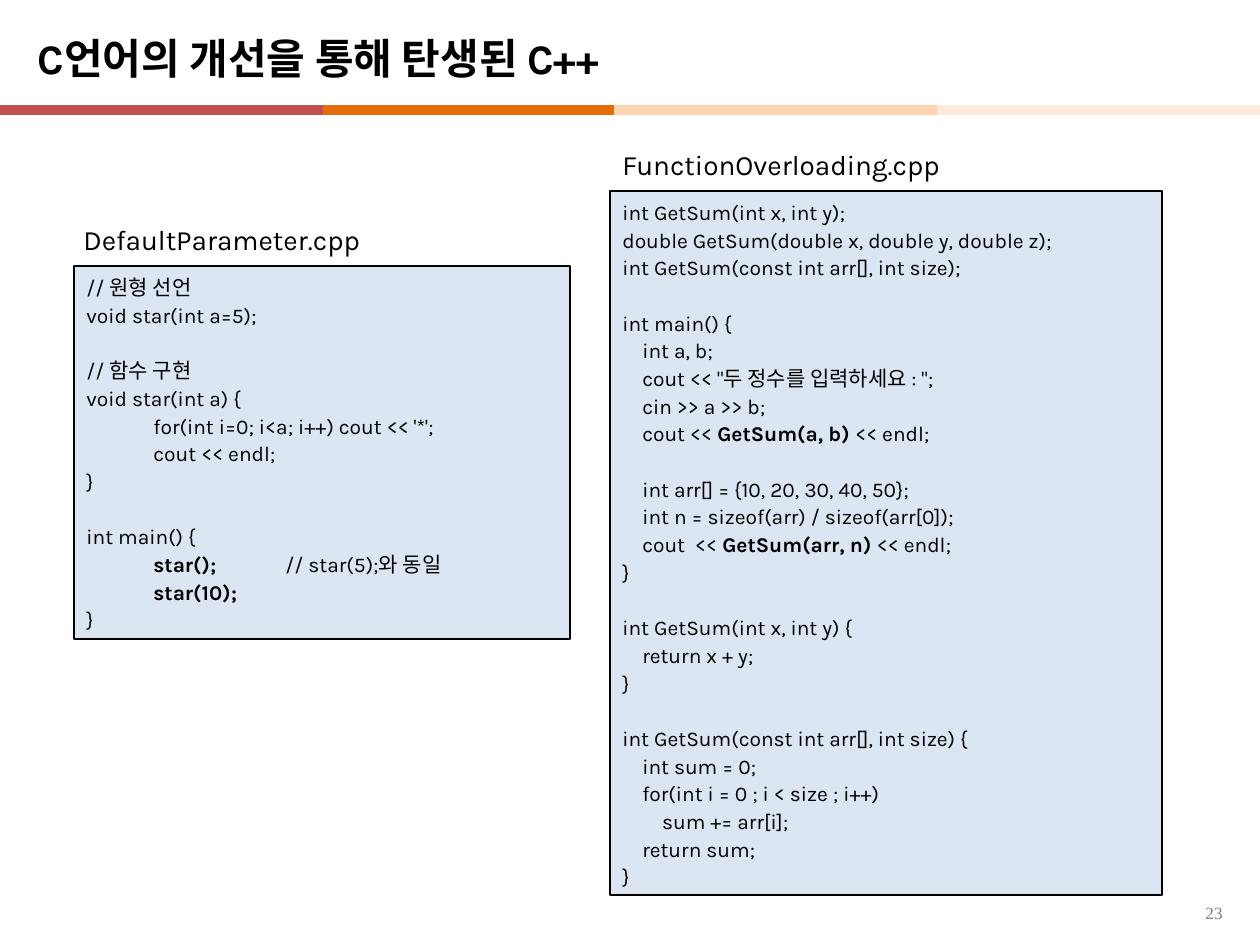
from dataclasses import dataclass

from lxml import etree
from pptx import Presentation
from pptx.dml.color import RGBColor
from pptx.enum.shapes import MSO_CONNECTOR, MSO_SHAPE
from pptx.enum.text import MSO_ANCHOR, MSO_AUTO_SIZE, PP_ALIGN
from pptx.oxml.ns import qn
from pptx.util import Emu, Pt

STRAIGHT = MSO_CONNECTOR.STRAIGHT
RECTANGLE = MSO_SHAPE.RECTANGLE
TOP, MIDDLE = MSO_ANCHOR.TOP, MSO_ANCHOR.MIDDLE
NO_FIT, GROW = MSO_AUTO_SIZE.NONE, MSO_AUTO_SIZE.SHAPE_TO_FIT_TEXT
LEFT, RIGHT = PP_ALIGN.LEFT, PP_ALIGN.RIGHT

PX_PER_INCH = 126
EMU_PER_PX = 914400 / PX_PER_INCH


@dataclass(frozen=True)
class Theme:
    font: str = "Karla"
    number_font: str = "Times New Roman"
    ink: str = "000000"
    muted: str = "7F7F7F"
    panel: str = "DCE6F2"
    divider: tuple = ("E46C0A", "FCD5B5", "FDEADA", "C0504D")
    title_size: float = 24
    caption_size: float = 16
    code_size: float = 12
    number_size: float = 9.8
    code_spacing: float = 1.1
    code_gap: float = 15.8
    code_tabs: tuple = (67, 199)


THEME = Theme()

DEFAULT_PARAMETER = """// 원형 선언
void star(int a=5);

// 함수 구현
void star(int a) {
\tfor(int i=0; i<a; i++) cout << '*';
\tcout << endl;
}

int main() {
\t**star();**\t// star(5);와 동일
\t**star(10);**
}"""

FUNCTION_OVERLOADING = """int GetSum(int x, int y);
double GetSum(double x, double y, double z);
int GetSum(const int arr[], int size);

int main() {
    int a, b;
    cout << "두 정수를 입력하세요 : ";
    cin >> a >> b;
    cout << **GetSum(a, b) **<< endl;

    int arr[] = {10, 20, 30, 40, 50};
    int n = sizeof(arr) / sizeof(arr[0]);
    cout  << **GetSum(arr, n) **<< endl;
}

int GetSum(int x, int y) {
    return x + y;
}

int GetSum(const int arr[], int size) {
    int sum = 0;
    for(int i = 0 ; i < size ; i++)
        sum += arr[i];
    return sum;
}"""


def px(value):
    return Emu(round(value * EMU_PER_PX))


def apply_format(target, values):
    for name, value in values.items():
        setattr(target, name, value)


def place(shape, box):
    apply_format(shape, dict(zip(("left", "top", "width", "height"), map(px, box))))


def add_run(paragraph, text, size, color=THEME.ink, font=THEME.font, bold=False):
    run = paragraph.add_run()
    run.text = text
    apply_format(run.font, {"name": font, "size": Pt(size), "bold": bold})
    run.font.color.rgb = RGBColor.from_string(color)


def add_tabs(paragraph, positions):
    tab_list = etree.SubElement(paragraph._p.get_or_add_pPr(), qn("a:tabLst"))
    for position in positions:
        etree.SubElement(tab_list, qn("a:tab"), pos=str(px(position)), algn="l")


def add_title(slide, box, text):
    title = slide.shapes.title
    place(title, box)
    frame = title.text_frame
    apply_format(frame, {"vertical_anchor": MIDDLE, "auto_size": NO_FIT, "word_wrap": True})
    paragraph = frame.paragraphs[0]
    paragraph.alignment = LEFT
    add_run(paragraph, text, THEME.title_size, bold=True)


def add_divider(slide, box):
    left, top, width, height = box
    segment = width * 323 // 1260
    starts = [left + width - segment * count for count in (3, 2, 1)] + [left]
    middle = px(top + height / 2)
    for start, color in zip(starts, THEME.divider):
        line = slide.shapes.add_connector(STRAIGHT, px(start), middle, px(start + segment), middle)
        line.line.width = Pt(6)
        line.line.color.rgb = RGBColor.from_string(color)
        etree.SubElement(line._element.spPr, qn("a:effectLst"))


def add_label(slide, box, text, size, alignment=LEFT, spacing=1.0, **style):
    label = slide.shapes.add_textbox(*map(px, box))
    label.text_frame.word_wrap = True
    paragraph = label.text_frame.paragraphs[0]
    apply_format(paragraph, {"alignment": alignment, "line_spacing": spacing})
    add_run(paragraph, text, size, **style)


def add_code_line(paragraph, line, gap):
    add_tabs(paragraph, THEME.code_tabs)
    apply_format(paragraph, {
        "alignment": LEFT,
        "line_spacing": THEME.code_spacing,
        "space_before": Pt(gap),
    })
    for index, part in enumerate(line.split("**")):
        if part:
            add_run(paragraph, part, THEME.code_size, bold=index % 2 == 1)


def add_code_panel(slide, box, code):
    panel = slide.shapes.add_shape(RECTANGLE, *map(px, box))
    panel.shadow.inherit = False
    panel.fill.solid()
    panel.fill.fore_color.rgb = RGBColor.from_string(THEME.panel)
    panel.line.color.rgb = RGBColor.from_string(THEME.ink)
    panel.line.width = Pt(0.75)
    frame = panel.text_frame
    apply_format(frame, {"word_wrap": True, "vertical_anchor": TOP, "auto_size": GROW})
    paragraph = frame.paragraphs[0]
    for block_index, block in enumerate(code.split("\n\n")):
        for line_index, line in enumerate(block.split("\n")):
            if block_index or line_index:
                paragraph = frame.add_paragraph()
            starts_block = block_index > 0 and line_index == 0
            add_code_line(paragraph, line, THEME.code_gap if starts_block else 0)


def add_listing(slide, box, caption_shift, caption, code):
    left, top, width, height = box
    add_code_panel(slide, box, code)
    caption_box = (left + caption_shift, top - 50, 520, 46)
    add_label(slide, caption_box, caption, THEME.caption_size)


def main():
    presentation = Presentation()
    presentation.slide_width, presentation.slide_height = px(1260), px(945)
    slide = presentation.slides.add_slide(presentation.slide_layouts[5])
    add_divider(slide, (0, 105, 1260, 10))
    add_title(slide, (25, 18, 1211, 79), "C언어의 개선을 통해 탄생된 C++")
    add_label(slide, (941, 900, 294, 35), "23", THEME.number_size, RIGHT, 0.8,
              color=THEME.muted, font=THEME.number_font)
    add_listing(slide, (74, 266, 496, 373), -3, "DefaultParameter.cpp", DEFAULT_PARAMETER)
    add_listing(slide, (610, 191, 552, 704), 0, "FunctionOverloading.cpp", FUNCTION_OVERLOADING)
    presentation.save("out.pptx")


if __name__ == "__main__":
    main()
